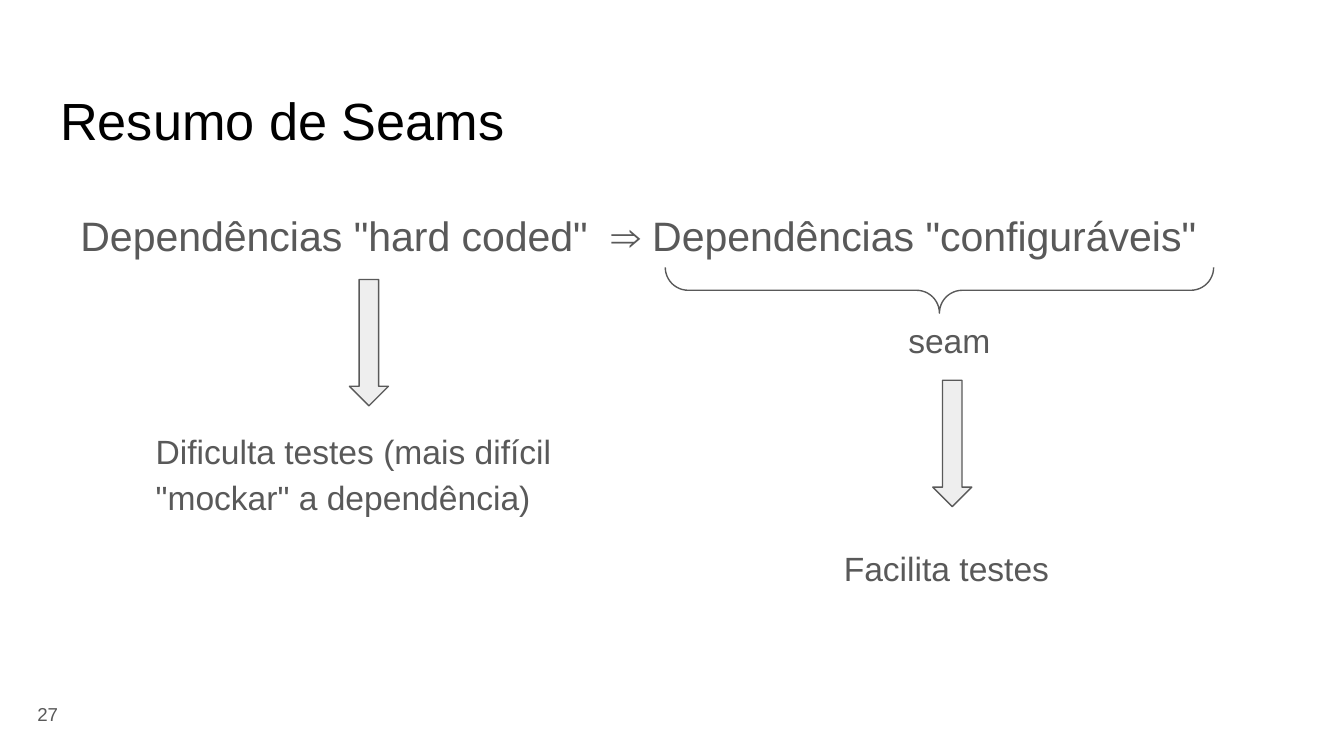
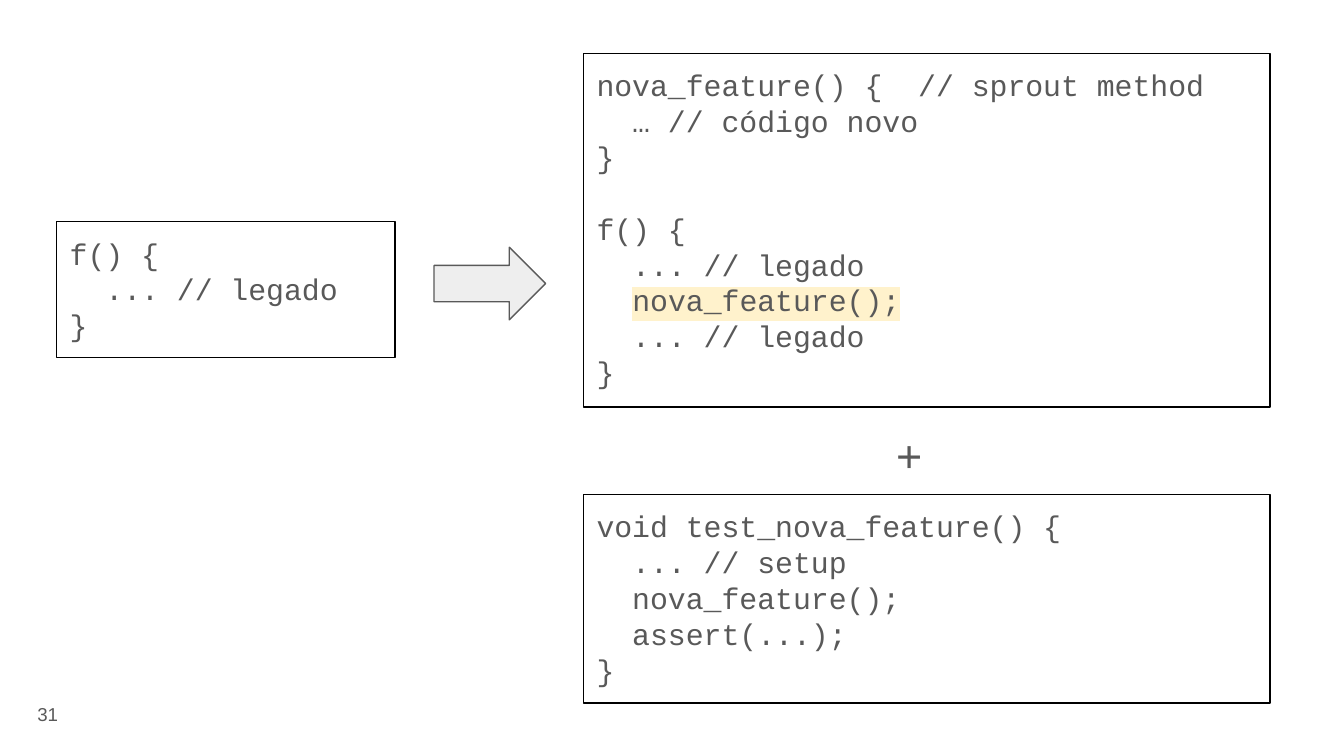
import dataclasses

import lxml.etree
import pptx
import pptx.dml.color
import pptx.enum.shapes
import pptx.enum.text
import pptx.oxml.ns
import pptx.util

Inches = pptx.util.Inches
Pt = pptx.util.Pt
Preset = pptx.enum.shapes.MSO_SHAPE
Anchor = pptx.enum.text.MSO_ANCHOR

GREY, BLACK, PALE, HIGHLIGHT = "595959", "000000", "EEEEEE", "FFF2CC"
SANS, MONO = "Arial", "Courier New"
CODE_SIZE = 16
CODE_GAP = 19.2  # height of one empty code line, in points


@dataclasses.dataclass(frozen=True)
class Box:
    left: float
    top: float
    width: float
    height: float

    def lengths(self) -> tuple:
        return tuple(Inches(v) for v in dataclasses.astuple(self))


@dataclasses.dataclass(frozen=True)
class Label:
    text: str
    box: Box
    size: float = 18
    color: str = GREY
    spacing: float = 1.0
    anchor: Anchor = Anchor.TOP
    grow: bool = True
    tab: float = 0  # tab stop in inches, 0 for none


@dataclasses.dataclass(frozen=True)
class Outline:
    preset: Preset
    box: Box
    fill: str = ""
    line: str = GREY
    rotation: float = 0
    adjustments: tuple = (0.5, 0.5)


@dataclasses.dataclass(frozen=True)
class Code:
    lines: tuple
    box: Box
    marked: int = -1  # index of the highlighted line


def rgb(color: str) -> pptx.dml.color.RGBColor:
    return pptx.dml.color.RGBColor.from_string(color)


def style_font(paragraph, name: str, size: float, color: str) -> None:
    paragraph.font.name = name
    paragraph.font.size = Pt(size)
    paragraph.font.color.rgb = rgb(color)


def prepare_frame(shape, grow: bool = True, anchor: Anchor = Anchor.TOP):
    frame = shape.text_frame
    frame.word_wrap = True
    frame.margin_left = frame.margin_right = Inches(0.1)
    frame.margin_top = frame.margin_bottom = Inches(0.1)
    frame.vertical_anchor = anchor
    sizing = pptx.enum.text.MSO_AUTO_SIZE
    frame.auto_size = sizing.SHAPE_TO_FIT_TEXT if grow else sizing.NONE
    return frame


def add_tab_stop(paragraph, position: float) -> None:
    properties = paragraph._p.get_or_add_pPr()
    qn = pptx.oxml.ns.qn
    stops = lxml.etree.SubElement(properties, qn("a:tabLst"))
    lxml.etree.SubElement(stops, qn("a:tab"), pos=str(Inches(position)), algn="l")


def highlight(run, color: str) -> None:
    qn = pptx.oxml.ns.qn
    mark = lxml.etree.SubElement(run._r.get_or_add_rPr(), qn("a:highlight"))
    lxml.etree.SubElement(mark, qn("a:srgbClr"), val=color)


def add_label(slide, label: Label) -> None:
    shape = slide.shapes.add_textbox(*label.box.lengths())
    paragraph = prepare_frame(shape, label.grow, label.anchor).paragraphs[0]
    paragraph.text = label.text
    paragraph.line_spacing = label.spacing
    if label.tab:
        add_tab_stop(paragraph, label.tab)
    style_font(paragraph, SANS, label.size, label.color)


def add_outline(slide, outline: Outline):
    shape = slide.shapes.add_shape(outline.preset, *outline.box.lengths())
    shape.shadow.inherit = False
    shape.rotation = outline.rotation
    for index, value in enumerate(outline.adjustments):
        shape.adjustments[index] = value
    if outline.fill:
        shape.fill.solid()
        shape.fill.fore_color.rgb = rgb(outline.fill)
    else:
        shape.fill.background()
    shape.line.color.rgb = rgb(outline.line)
    shape.line.width = Pt(0.75)
    return shape


def add_code(slide, code: Code) -> None:
    shape = add_outline(slide, Outline(Preset.RECTANGLE, code.box, line=BLACK, adjustments=()))
    frame = prepare_frame(shape)
    gap = 0
    for index, line in enumerate(code.lines):
        if not line:  # an empty line becomes space before the next one
            gap = CODE_GAP
            continue
        paragraph = frame.add_paragraph() if index else frame.paragraphs[0]
        paragraph.alignment = pptx.enum.text.PP_ALIGN.LEFT
        if gap:
            paragraph.space_before = Pt(gap)
            gap = 0
        if index == code.marked:
            statement = line.lstrip()
            paragraph.add_run().text = line[: -len(statement)]
            run = paragraph.add_run()
            run.text = statement
            highlight(run, HIGHLIGHT)
        else:
            paragraph.text = line
        style_font(paragraph, MONO, CODE_SIZE, GREY)


DRAWERS = {Label: add_label, Outline: add_outline, Code: add_code}


def title(text: str) -> Label:
    return Label(text, Box(0.35, 0.49, 9.32, 0.63), 28, BLACK, 1.15, grow=False)


def down_arrow(left: float, top: float) -> Outline:
    return Outline(Preset.DOWN_ARROW, Box(left, top, 0.29, 0.94), PALE)


def add_slide(presentation, number: int, parts: tuple) -> None:
    slide = presentation.slides.add_slide(presentation.slide_layouts[6])
    for part in parts:
        DRAWERS[type(part)](slide, part)
    add_label(slide, Label(str(number), Box(0.18, 5.1, 0.6, 0.43), 10,
                           anchor=Anchor.MIDDLE, grow=False))


# Summary: hard-coded against configurable dependencies
SEAMS = (
    title("Resumo de Seams"),
    Label('Dependências "hard coded"\t⇒ Dependências "configuráveis"',
          Box(0.5, 1.41, 8.81, 0.57), 22, spacing=1.15, tab=3.95),
    Outline(Preset.LEFT_BRACE, Box(6.82, 0.12, 0.34, 4.08), rotation=270),
    Label("seam", Box(6.66, 2.28, 1.06, 0.5)),
    Label('Dificulta testes (mais difícil "mockar" a dependência)',
          Box(1.06, 3.06, 3.4, 0.85), spacing=1.15),
    Label("Facilita testes", Box(6.18, 3.98, 1.85, 0.5)),
    down_arrow(2.6, 2.08),
    down_arrow(6.94, 2.83),
)

# Sprout method: legacy code, new code and its test
LEGACY = ("f() {", "  ... // legado", "}")
SPROUT = (
    Code(LEGACY, Box(0.42, 1.65, 2.52, 1.01)),
    Code(("nova_feature() {  // sprout method", "  … // código novo", "}", "",
          *LEGACY[:2], "  nova_feature();", *LEGACY[1:]),
         Box(4.34, 0.4, 5.11, 2.63), marked=6),
    Outline(Preset.RIGHT_ARROW, Box(3.23, 1.84, 0.83, 0.54), PALE),
    Code(("void test_nova_feature() {", "  ... // setup", "  nova_feature();",
          "  assert(...);", "}"), Box(4.34, 3.68, 5.11, 1.55)),
    Label("+", Box(6.57, 3.08, 0.36, 0.61), 24),
)


def main() -> None:
    presentation = pptx.Presentation()
    presentation.slide_width = Inches(10)
    presentation.slide_height = Inches(10) * 9 // 16  # widescreen
    add_slide(presentation, 27, SEAMS)
    add_slide(presentation, 31, SPROUT)
    presentation.save("out.pptx")


if __name__ == "__main__":
    main()
